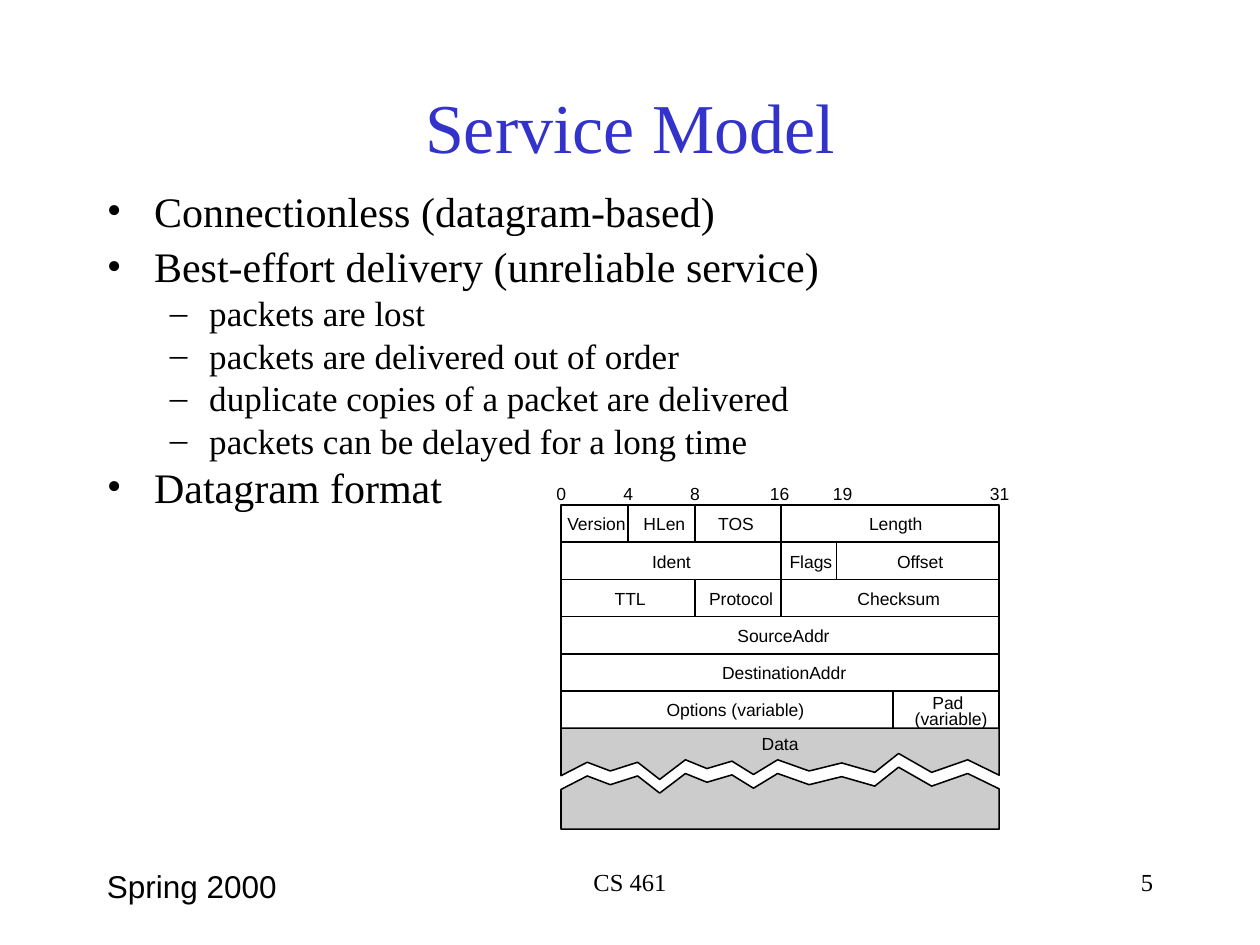
"""Build the "Service Model" slide with its datagram header diagram."""
from lxml import etree
from pptx import Presentation
from pptx.dml.color import RGBColor
from pptx.enum import shapes, text
from pptx.oxml.ns import qn
from pptx.util import Pt

BLACK = RGBColor(0x00, 0x00, 0x00)
BLUE = RGBColor(0x33, 0x33, 0xCC)
GRAY = RGBColor(0xCC, 0xCC, 0xCC)
SERIF, SANS = "Times New Roman", "Arial"
LEFT, CENTER, RIGHT = text.PP_ALIGN.LEFT, text.PP_ALIGN.CENTER, text.PP_ALIGN.RIGHT
RULE = Pt(0.88)

deck = Presentation()
deck.slide_width, deck.slide_height = Pt(720), Pt(540)
slide = deck.slides.add_slide(deck.slide_layouts[6])


def add_run(paragraph, words, size, font, color=BLACK):
    run = paragraph.add_run()
    run.text = words
    run.font.size, run.font.name = Pt(size), font
    run.font.color.rgb = color


def add_frame(left, top, width, height, padded=True):
    frame = slide.shapes.add_textbox(Pt(left), Pt(top), Pt(width), Pt(height)).text_frame
    frame.word_wrap = padded
    if not padded:
        frame.auto_size = text.MSO_AUTO_SIZE.SHAPE_TO_FIT_TEXT
        frame.margin_left = frame.margin_right = frame.margin_top = frame.margin_bottom = 0
    return frame


title = add_frame(54, 36, 612, 72)
title.vertical_anchor = text.MSO_ANCHOR.MIDDLE
title.paragraphs[0].alignment = CENTER
add_run(title.paragraphs[0], "Service Model", 40, SERIF, BLUE)

outline = [
    (0, "Connectionless (datagram-based)", 0.8),
    (0, "Best-effort delivery (unreliable service)", 0.9),
    (1, "packets are lost", 0.8),
    (1, "packets are delivered out of order", 0.8),
    (1, "duplicate copies of a packet are delivered", 0.8),
    (1, "packets can be delayed for a long time", 0.8),
    (0, "Datagram format", 0.8),
]
level_styles = [(24, 6, "•", 27, -27), (20, 5, "–", 58.5, -22.5)]
body = add_frame(54, 108, 612, 216)
for index, (level, words, spacing) in enumerate(outline):
    size, before, bullet, margin, indent = level_styles[level]
    point = body.add_paragraph() if index else body.paragraphs[0]
    point.level = level
    point.line_spacing, point.space_before = spacing, Pt(before)
    properties = point._p.get_or_add_pPr()
    properties.set("marL", str(Pt(margin)))
    properties.set("indent", str(Pt(indent)))
    bullet_color = etree.SubElement(properties, qn("a:buClr"))
    etree.SubElement(bullet_color, qn("a:srgbClr"), val=str(BLACK))
    etree.SubElement(properties, qn("a:buFont"), typeface=SERIF)
    etree.SubElement(properties, qn("a:buChar"), char=bullet)
    add_run(point, words, size, SERIF)

HEADER_LEFT, HEADER_RIGHT, HEADER_TOP, ROW = 320.6, 571, 288.6, 21.25
row_tops = [HEADER_TOP + ROW * row for row in range(7)]
DATA_TOP = row_tops[6]

tear = [
    (571, 443), (553, 434.2), (532.4, 441.4), (513.5, 430.6), (499.9, 441.4),
    (481, 436), (462.4, 440.6), (444.4, 434.2), (430.6, 442.6), (418.3, 435),
    (404, 439.2), (391.7, 434.2), (377, 445.4), (364.4, 435.6), (348.8, 440.6),
    (335.6, 435.6), (320.6, 443.3),
]
TEAR_GAP, DATA_BOTTOM = 7.8, 473.8
lower_tear = [(x, y + TEAR_GAP) for x, y in tear]
outlines = [
    ([(HEADER_RIGHT, 436.3), (HEADER_RIGHT, HEADER_TOP),
      (HEADER_LEFT, HEADER_TOP), (HEADER_LEFT, 436.3)], False),
    ([(HEADER_LEFT, DATA_TOP), (HEADER_RIGHT, DATA_TOP)] + tear, True),
    ([(HEADER_LEFT, DATA_BOTTOM), (HEADER_RIGHT, DATA_BOTTOM)] + lower_tear, True),
]
for corners, filled in outlines:
    corners = [(Pt(x), Pt(y)) for x, y in corners]
    builder = slide.shapes.build_freeform(*corners[0])
    builder.add_line_segments(corners[1:], close=filled)
    piece = builder.convert_to_shape()
    piece.shadow.inherit = False
    piece.line.color.rgb, piece.line.width = BLACK, RULE
    if filled:
        piece.fill.solid()
        piece.fill.fore_color.rgb = GRAY
    else:
        piece.fill.background()

row_rules = [(HEADER_LEFT, y, HEADER_RIGHT, y) for y in row_tops[1:6]]
field_rules = [
    (x, row_tops[first], x, row_tops[last])
    for x, first, last in [
        (358.8, 0, 1), (397.2, 0, 1), (446.2, 0, 3),
        (478, 1, 2), (397.2, 2, 3), (510.2, 5, 6),
    ]
]
for x1, y1, x2, y2 in row_rules + field_rules:
    rule = slide.shapes.add_connector(
        shapes.MSO_CONNECTOR.STRAIGHT, Pt(x1), Pt(y1), Pt(x2), Pt(y2))
    rule.line.color.rgb, rule.line.width = BLACK, RULE
    etree.SubElement(rule._element.spPr, qn("a:effectLst"))

bit_numbers = [("0", 318, 5.6), ("4", 356.2, 5.6), ("8", 394.4, 5.6),
               ("16", 439.9, 11.2), ("19", 475.9, 11.2), ("31", 565.7, 11.2)]
field_rows = [
    [("Version", 324.2, 34), ("HLen", 367.7, 24), ("TOS", 410.4, 21), ("Length", 496.6, 30.6)],
    [("Ident", 372.6, 22.3), ("Flags", 451.2, 24.5), ("Offset", 512.6, 26.5)],
    [("TTL", 351.2, 18), ("Protocol", 405.2, 36.7), ("Checksum", 490, 47.3)],
    [("SourceAddr", 421.4, 53)],
    [("DestinationAddr", 412.6, 71)],
    [("Options (variable)", 380.9, 79)],
    [("Data", 435.3, 21.2)],
]
labels = [(275.8, bit_numbers)]
labels += [(top + 4.8, fields) for top, fields in zip(row_tops, field_rows)]
labels[-1] = (419, field_rows[-1])
labels += [(395.3, [("Pad", 532.8, 18)]), (404.6, [("(variable)", 522.7, 42)])]
for top, fields in labels:
    for words, left, width in fields:
        label = add_frame(left, top, width, 12.2, padded=False)
        add_run(label.paragraphs[0], words, 10, SANS)

for words, left, width, align, size, font in [
    ("CS 461", 246, 228, CENTER, 14, SERIF),
    ("5", 516, 150, RIGHT, 14, SERIF),
    ("Spring 2000", 54, 150, LEFT, 18, SANS),
]:
    footer = add_frame(left, 492, width, 36).paragraphs[0]
    footer.alignment = align
    add_run(footer, words, size, font)

deck.save("out.pptx")
